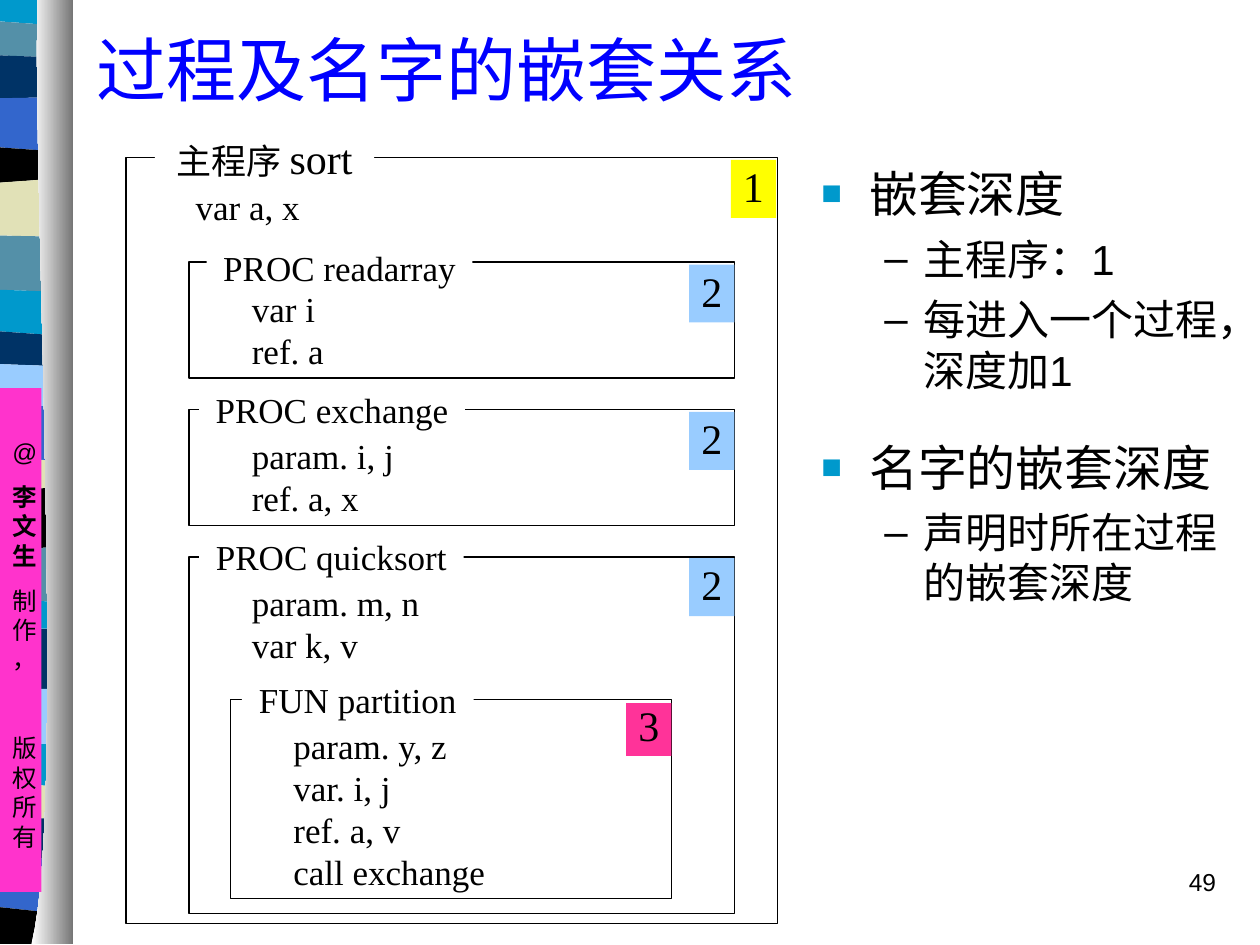
from lxml import etree
from pptx import Presentation
from pptx.dml.color import RGBColor
from pptx.enum.shapes import MSO_SHAPE as Shape
from pptx.enum.text import MSO_ANCHOR as Anchor, PP_ALIGN as Align
from pptx.oxml.ns import qn
from pptx.util import Inches, Pt

BLACK = RGBColor(0x00, 0x00, 0x00)
WHITE = RGBColor(0xFF, 0xFF, 0xFF)
GRAY = RGBColor(0x76, 0x76, 0x76)
BLUE = RGBColor(0x00, 0x00, 0xFF)
CYAN = RGBColor(0x00, 0x99, 0xCC)
TEAL = RGBColor(0x54, 0x90, 0xA8)
NAVY = RGBColor(0x00, 0x33, 0x66)
ROYAL = RGBColor(0x33, 0x66, 0xCC)
SAND = RGBColor(0xE1, 0xE1, 0xB7)
SKY = RGBColor(0x99, 0xCC, 0xFF)
YELLOW = RGBColor(0xFF, 0xFF, 0x00)
PINK = RGBColor(0xFF, 0x33, 0x99)
MAGENTA = RGBColor(0xFF, 0x33, 0xCC)
SERIF, SANS = "Times New Roman", "Arial"

BAND_RIGHT = 0.56
BANDS = [
    (CYAN, 0, 0), (TEAL, 0.17, 0.21), (NAVY, 0.44, 0.46),
    (ROYAL, 0.78, 0.77), (BLACK, 1.17, 1.21), (SAND, 1.45, 1.41),
    (TEAL, 1.87, 1.88), (CYAN, 2.3, 2.32), (NAVY, 2.63, 2.67),
    (SKY, 2.89, 2.91), (ROYAL, 3.23, 3.22), (SAND, 3.62, 3.67),
    (BLACK, 3.9, 3.86), (TEAL, 4.36, 4.34), (CYAN, 4.76, 4.78),
    (NAVY, 4.99, 4.99), (SKY, 5.48, 5.46), (CYAN, 5.9, 5.91),
    (SAND, 6.21, 6.25), (NAVY, 6.49, 6.5), (ROYAL, 6.82, 6.81),
    (BLACK, 7.2, 7.26),
]

PROCEDURES = [
    ((1.5, 4.42, 4.33, 2.83), WHITE, "PROC quicksort", (1.58, 4.2, 2.1, 0.44),
     ["param. m, n", "var k, v"], (1.9, 4.56, 1.6, 0.77)),
    ((1.83, 5.55, 3.5, 1.58), None, "FUN partition", (1.92, 5.33, 1.84, 0.44),
     ["param. y, z", "var. i, j", "ref. a, v", "call exchange"],
     (2.23, 5.53, 1.79, 1.77)),
    ((1.5, 3.25, 4.33, 0.92), None, "PROC exchange", (1.58, 3.03, 2.11, 0.44),
     ["param. i, j", "ref. a, x"], (1.9, 3.4, 1.79, 0.77)),
    ((1.5, 2.08, 4.33, 0.92), None, "PROC readarray", (1.64, 1.92, 2.11, 0.4),
     ["var i", "ref. a"], (1.9, 2.23, 1.79, 0.77)),
]

DEPTHS = [
    ("1", YELLOW, 5.8, 1.27, 0.46), ("2", SKY, 5.47, 2.1, 0.46),
    ("2", SKY, 5.47, 3.27, 0.46), ("2", SKY, 5.47, 4.43, 0.46),
    ("3", PINK, 4.97, 5.58, 0.42),
]


def add_rect(slide, place, fill=None, line=None):
    rect = slide.shapes.add_shape(Shape.RECTANGLE, *map(Inches, place))
    rect.shadow.inherit = False
    if fill is None:
        rect.fill.background()
    else:
        rect.fill.solid()
        rect.fill.fore_color.rgb = fill
    if line is None:
        rect.line.fill.background()
    else:
        rect.line.color.rgb = line
        rect.line.width = Pt(0.75)
    return rect


def add_text(slide, place):
    return slide.shapes.add_textbox(*map(Inches, place))


def style(paragraph, size, name, color=BLACK, align=Align.LEFT):
    paragraph.alignment = align
    font = paragraph.font
    font.size, font.name, font.color.rgb = Pt(size), name, color


def write(holder, lines, size, name=SERIF, color=BLACK, align=Align.LEFT,
          anchor=Anchor.MIDDLE, wrap=True):
    frame = holder.text_frame
    frame.word_wrap = wrap
    frame.vertical_anchor = anchor
    frame.text = "\n".join(lines)
    for paragraph in frame.paragraphs:
        style(paragraph, size, name, color, align)
    return frame


def add_outline(slide, points):
    start, *rest = [(Inches(x), Inches(y)) for x, y in points]
    builder = slide.shapes.build_freeform(*start)
    builder.add_line_segments(rest)
    outline = builder.convert_to_shape()
    outline.shadow.inherit = False
    outline.line.fill.background()
    return outline


def add_bands(slide):
    ends = [band[1:] for band in BANDS[1:]] + [(7.49, 7.49)]
    for (color, left, right), (next_left, next_right) in zip(BANDS, ends):
        band = add_outline(slide, [(0, left), (BAND_RIGHT, right),
                                   (BAND_RIGHT, next_right), (0, next_left)])
        band.fill.solid()
        band.fill.fore_color.rgb = color


def bezier(a, b, c, d, t):
    s = 1 - t
    return s**3 * a + 3 * s * s * t * b + 3 * s * t * t * c + t**3 * d


def add_spine(slide):
    steps = 30
    edge = [(bezier(0.3, 0.25, 0.53, 0.25, i / steps),
             bezier(0, 1.25, 6.46, 7.49, i / steps)) for i in range(steps + 1)]
    spine = add_outline(slide, edge + [(0.58, 7.49), (0.58, 0)])
    spine.fill.gradient()
    spine.fill.gradient_angle = 0
    for stop, color in zip(spine.fill.gradient_stops, (WHITE, GRAY)):
        stop.color.rgb = color


def add_credit(slide):
    credit = add_rect(slide, (0, 3.08, 0.33, 4), MAGENTA)
    frame = write(credit, ["@", "李文生", "制作，", "版权所有"], 14, SANS,
                  align=Align.CENTER, anchor=Anchor.TOP)
    frame.margin_top = Inches(0.39)
    for paragraph, gap in zip(frame.paragraphs, (0, 8.8, 8.8, 34)):
        paragraph.space_before = Pt(gap)
    frame.paragraphs[1].font.bold = True


def add_heading(slide, place, text):
    heading = add_rect(slide, place, WHITE)
    return write(heading, [text], 20, align=Align.CENTER, wrap=False)


def add_procedure(slide, frame, fill, name, name_place, body, body_place):
    add_rect(slide, frame, fill, BLACK)
    add_heading(slide, name_place, name)
    write(add_text(slide, body_place), body, 20)


def add_main_program(slide):
    write(add_text(slide, (1.42, 1.42, 1.09, 0.44)), ["var a, x"], 20,
          align=Align.CENTER, wrap=False)
    add_rect(slide, (1, 1.25, 5.17, 6.08), line=BLACK)
    heading = add_heading(slide, (1.23, 1, 1.74, 0.5), "主程序 ")
    name = heading.paragraphs[0].add_run()
    name.text = "sort"
    name.font.size = Pt(24)


def add_depth(slide, depth, color, left, top, height):
    badge = add_rect(slide, (left, top, 0.36, height), color)
    frame = write(badge, [depth], 24, align=Align.CENTER, wrap=False)
    frame.paragraphs[0].line_spacing = 0.8 if depth == "3" else 0.9


def set_bullet(paragraph, mark, color, percent, margin, indent):
    props = paragraph._p.get_or_add_pPr()
    props.set("marL", str(Inches(margin)))
    props.set("indent", str(Inches(indent)))
    tint = etree.SubElement(props, qn("a:buClr"))
    etree.SubElement(tint, qn("a:srgbClr"), val=str(color))
    etree.SubElement(props, qn("a:buSzPct"), val=str(percent * 1000))
    etree.SubElement(props, qn("a:buFont"), typeface=SANS)
    etree.SubElement(props, qn("a:buChar"), char=mark)


def add_points(slide, place, topic, details):
    frame = write(add_text(slide, place), [topic] + details, 24, SANS,
                  anchor=Anchor.TOP)
    lead, *rest = frame.paragraphs
    lead.font.size = Pt(28)
    lead.space_before = Pt(7)
    for detail in rest:
        detail.level = 1
        detail.space_before = Pt(6)
        set_bullet(detail, "–", BLACK, 100, 0.81, -0.31)
    set_bullet(lead, "■", CYAN, 70, 0.38, -0.38)


def main():
    deck = Presentation()
    deck.slide_width, deck.slide_height = Inches(10), Inches(7.5)
    slide = deck.slides.add_slide(deck.slide_layouts[6])
    add_bands(slide)
    add_spine(slide)
    add_credit(slide)
    write(add_text(slide, (0.67, 0.08, 9.12, 0.92)), ["过程及名字的嵌套关系"],
          40, color=BLUE)
    for procedure in PROCEDURES:
        add_procedure(slide, *procedure)
    add_main_program(slide)
    for depth in DEPTHS:
        add_depth(slide, *depth)
    add_points(slide, (6.42, 1.25, 3.37, 2), "嵌套深度",
               ["主程序：1", "每进入一个过程，深度加1"])
    add_points(slide, (6.42, 3.42, 3.37, 1.83), "名字的嵌套深度",
               ["声明时所在过程的嵌套深度"])
    number = write(add_text(slide, (7.67, 6.83, 2.08, 0.5)), ["49"], 14, SANS,
                   align=Align.RIGHT, anchor=Anchor.TOP)
    number.paragraphs[0].space_before = Pt(8.8)
    deck.save("out.pptx")


if __name__ == "__main__":
    main()
